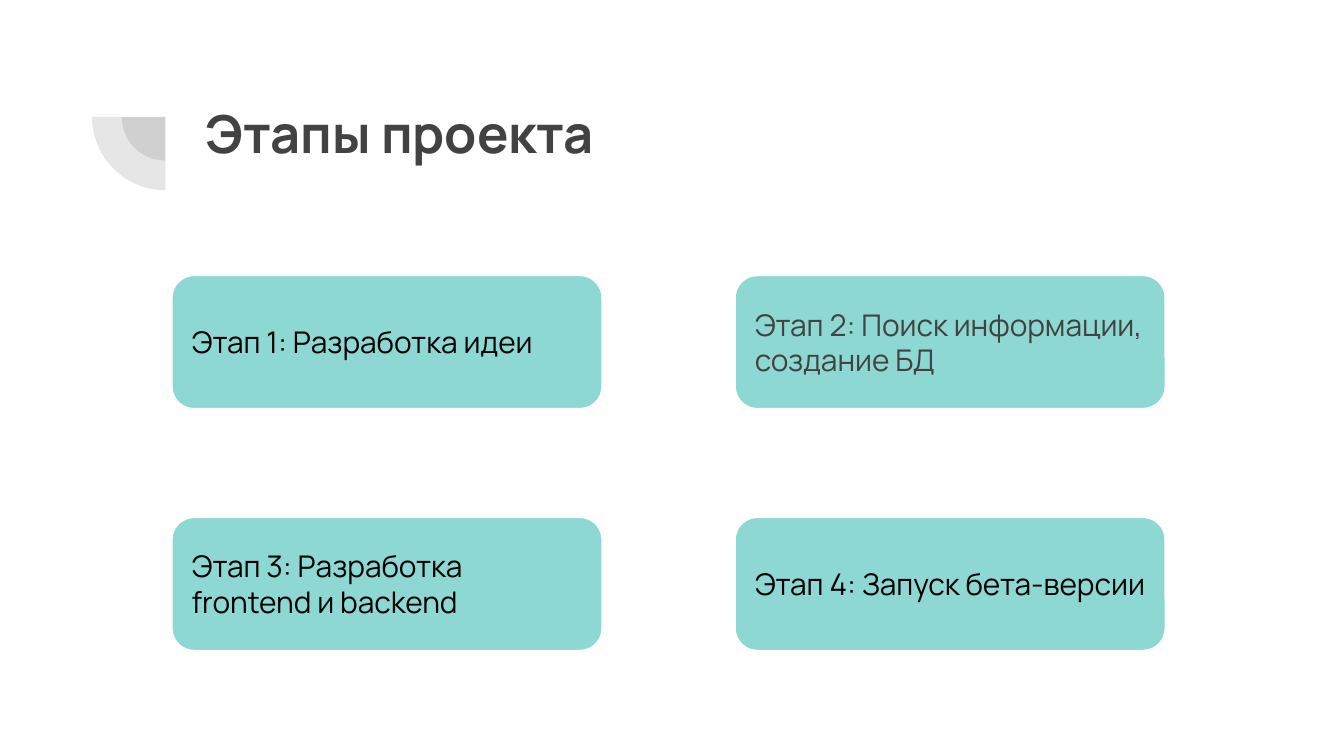
from dataclasses import dataclass

from lxml import etree
from pptx import Presentation
from pptx.dml.color import RGBColor
from pptx.enum.shapes import MSO_SHAPE
from pptx.enum.text import MSO_ANCHOR, MSO_AUTO_SIZE, PP_ALIGN
from pptx.oxml.ns import qn
from pptx.util import Inches, Pt

PIE, ROUNDED = MSO_SHAPE.PIE, MSO_SHAPE.ROUNDED_RECTANGLE
TOP, MIDDLE = MSO_ANCHOR.TOP, MSO_ANCHOR.MIDDLE
LEFT = PP_ALIGN.LEFT
NO_AUTOFIT = MSO_AUTO_SIZE.NONE


@dataclass(frozen=True)
class Theme:
    font: str = "Manrope"
    dark: RGBColor = RGBColor(0x42, 0x42, 0x42)
    black: RGBColor = RGBColor(0, 0, 0)
    white: RGBColor = RGBColor(0xFF, 0xFF, 0xFF)
    card: RGBColor = RGBColor(0x8D, 0xD8, 0xD3)
    title_size: int = 28
    card_size: int = 16
    pie_opacity: int = 13


theme = Theme()


def write_text(shape, text, *, size, color, bold=False, anchor=TOP):
    frame = shape.text_frame
    frame.word_wrap = True
    frame.auto_size = NO_AUTOFIT
    frame.vertical_anchor = anchor
    frame.margin_left = frame.margin_right = Inches(0.1)
    frame.margin_top = frame.margin_bottom = Inches(0.1)
    para = frame.paragraphs[0]
    para.alignment = LEFT
    para.line_spacing = 1
    para.space_before = Pt(0)
    span = para.add_run()
    span.text = text
    span.font.name = theme.font
    span.font.size = Pt(size)
    span.font.bold = bold
    span.font.color.rgb = color


# Widescreen 16:9 page
deck = Presentation()
deck.slide_width, deck.slide_height = Inches(10), Inches(10 * 9 / 16)
page = deck.slides.add_slide(deck.slide_layouts[5])

# Two concentric translucent quarter circles
center_x, center_y = 1.23, 0.87
for diameter in (0.65, 1.09):
    quarter = page.shapes.add_shape(
        PIE, Inches(center_x - diameter / 2), Inches(center_y - diameter / 2),
        Inches(diameter), Inches(diameter))
    quarter.adjustments[0] = 108
    quarter.adjustments[1] = 162
    quarter.rotation = 270
    quarter.shadow.inherit = False
    quarter.line.fill.background()
    quarter.fill.solid()
    quarter.fill.fore_color.rgb = theme.dark
    color_node = quarter.element.spPr.find(qn("a:solidFill"))[0]
    etree.SubElement(color_node, qn("a:alpha"), val=str(theme.pie_opacity * 1000))

# Title
title = page.shapes.title
title.left, title.top = Inches(1.43), Inches(0.65)
title.width, title.height = Inches(7.69), Inches(1.09)
write_text(title, "Этапы проекта", size=theme.title_size, color=theme.dark, bold=True)

# Stage cards in a two-by-two grid
stages = [
    ("Этап 1: Разработка идеи", theme.black),
    ("Этап 2: Поиск информации, создание БД", theme.dark),
    ("Этап 3: Разработка frontend и backend", theme.black),
    ("Этап 4: Запуск бета-версии", theme.black),
]
for index, (text, color) in enumerate(stages):
    row, column = divmod(index, 2)
    card = page.shapes.add_shape(
        ROUNDED, Inches(1.28 + 4.19 * column), Inches(2.05 + 1.8 * row),
        Inches(3.2), Inches(0.99))
    card.shadow.inherit = False
    card.fill.solid()
    card.fill.fore_color.rgb = theme.card
    card.line.color.rgb = theme.white
    card.line.width = Pt(0.75)
    write_text(card, text, size=theme.card_size, color=color, anchor=MIDDLE)

deck.save("out.pptx")
